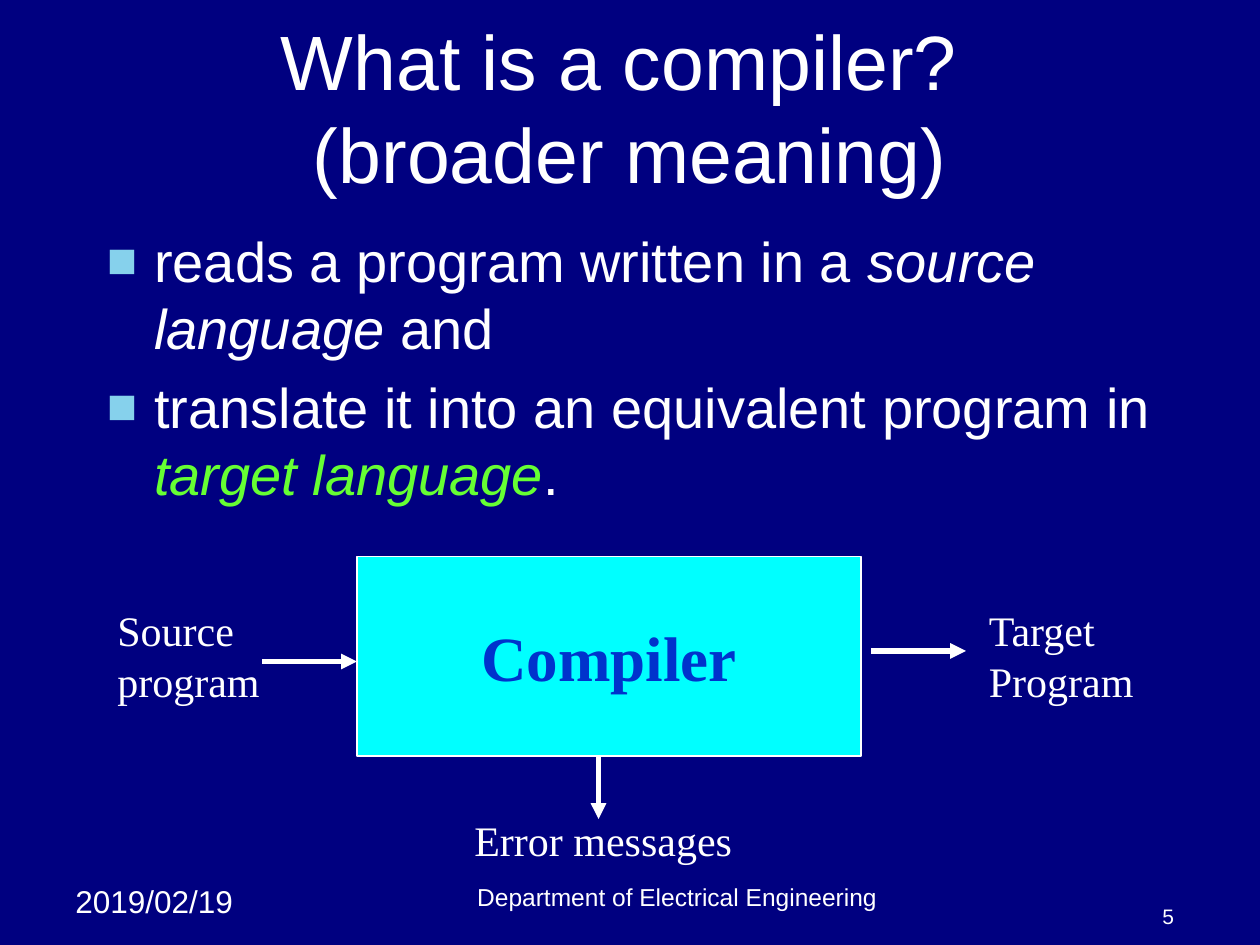
from dataclasses import dataclass

from lxml import etree
from pptx import Presentation
from pptx.dml.color import RGBColor
from pptx.enum.shapes import MSO_CONNECTOR, MSO_SHAPE
from pptx.enum.text import MSO_ANCHOR, MSO_AUTO_SIZE, PP_ALIGN
from pptx.oxml.ns import qn
from pptx.util import Pt

LEFT, CENTER, RIGHT = PP_ALIGN.LEFT, PP_ALIGN.CENTER, PP_ALIGN.RIGHT
TOP, MIDDLE, BOTTOM = MSO_ANCHOR.TOP, MSO_ANCHOR.MIDDLE, MSO_ANCHOR.BOTTOM
STRAIGHT = MSO_CONNECTOR.STRAIGHT
RECTANGLE = MSO_SHAPE.RECTANGLE
NO_AUTOFIT = MSO_AUTO_SIZE.NONE

SANS, SERIF = "Arial", "Times New Roman"
COLORS = {
    "background": "000080",
    "text": "FFFFFF",
    "bullet": "86D1EC",
    "target": "66FF33",
    "box": "00FFFF",
    "compiler": "0033CC",
}


@dataclass
class Label:
    text: str
    left: float
    top: float
    width: float
    height: float
    size: float
    font: str = SERIF
    align: PP_ALIGN = LEFT
    anchor: MSO_ANCHOR = TOP


@dataclass
class Arrow:
    start: tuple[float, float]
    end: tuple[float, float]


@dataclass
class Bullet:
    before: str
    term: str
    after: str
    term_color: str = "text"


LABELS = [
    Label("2019/02/19", 36, 500.4, 114, 28.8, 18, SANS),
    Label("Department of Electrical Engineering", 144, 500.4, 486, 24, 14, SANS, CENTER, BOTTOM),
    Label("5", 630, 510, 48, 24, 12, SANS, RIGHT, BOTTOM),
    Label("Source\nprogram", 60, 342, 102, 65, 24),
    Label("Target\nProgram", 558, 342, 114, 65, 24),
    Label("Error messages", 264, 462, 174, 36, 24),
]
ARROWS = [
    Arrow((150, 378), (204, 378)),
    Arrow((498, 372), (552, 372)),
    Arrow((342, 432), (342, 468)),
]
BULLETS = [
    Bullet("reads a program written in a ", "source language", " and"),
    Bullet("translate it into an equivalent program in ", "target language", ".", "target"),
]


def color(name: str) -> RGBColor:
    return RGBColor.from_string(COLORS[name])


def format_font(font, name: str, size: float, color_name: str = "text") -> None:
    font.name = name
    font.size = Pt(size)
    font.color.rgb = color(color_name)


def format_text(text_frame, name: str, size: float, align: PP_ALIGN,
                color_name: str = "text") -> None:
    for paragraph in text_frame.paragraphs:
        paragraph.alignment = align
        for run in paragraph.runs:
            format_font(run.font, name, size, color_name)


def add_label(slide, label: Label) -> None:
    shape = slide.shapes.add_textbox(
        Pt(label.left), Pt(label.top), Pt(label.width), Pt(label.height))
    text_frame = shape.text_frame
    text_frame.word_wrap = True
    text_frame.vertical_anchor = label.anchor
    text_frame.text = label.text
    format_text(text_frame, label.font, label.size, label.align)


def add_arrow(slide, arrow: Arrow) -> None:
    connector = slide.shapes.add_connector(
        STRAIGHT, *(Pt(value) for value in arrow.start + arrow.end))
    connector.line.color.rgb = color("text")
    connector.line.width = Pt(3)
    properties = connector._element.spPr
    line = properties.find(qn("a:ln"))
    etree.SubElement(line, qn("a:tailEnd"), type="triangle")
    etree.SubElement(properties, qn("a:effectLst"))


def add_bullet_marker(paragraph) -> None:
    indent = Pt(27)
    properties = paragraph._p.get_or_add_pPr()
    properties.set("marL", str(indent))
    properties.set("indent", str(-indent))
    marker_color = etree.SubElement(properties, qn("a:buClr"))
    etree.SubElement(marker_color, qn("a:srgbClr"), val=COLORS["bullet"])
    etree.SubElement(properties, qn("a:buSzPct"), val="90000")
    etree.SubElement(properties, qn("a:buFont"), typeface=SANS)
    etree.SubElement(properties, qn("a:buChar"), char="■")


def add_bullets(slide, bullets: list[Bullet]) -> None:
    shape = slide.shapes.add_textbox(Pt(54), Pt(126), Pt(612), Pt(390))
    text_frame = shape.text_frame
    text_frame.word_wrap = True
    for index, bullet in enumerate(bullets):
        paragraph = text_frame.add_paragraph() if index else text_frame.paragraphs[0]
        add_bullet_marker(paragraph)
        if index:
            paragraph.space_before = Pt(6.4)
        for text in (bullet.before, bullet.term, bullet.after):
            run = paragraph.add_run()
            run.text = text
            is_term = text == bullet.term
            format_font(run.font, SANS, 32, bullet.term_color if is_term else "text")
            run.font.italic = is_term


def add_compiler_box(slide) -> None:
    shape = slide.shapes.add_shape(RECTANGLE, Pt(204), Pt(318), Pt(288), Pt(114))
    shape.shadow.inherit = False
    shape.fill.solid()
    shape.fill.fore_color.rgb = color("box")
    shape.line.color.rgb = color("text")
    shape.line.width = Pt(1)
    text_frame = shape.text_frame
    text_frame.word_wrap = False
    text_frame.vertical_anchor = MIDDLE
    text_frame.text = "Compiler"
    format_text(text_frame, SERIF, 36, CENTER, "compiler")
    text_frame.paragraphs[0].runs[0].font.bold = True


def set_title(slide) -> None:
    title = slide.shapes.title
    title.left, title.top, title.width, title.height = Pt(36), Pt(21.6), Pt(648), Pt(78)
    text_frame = title.text_frame
    text_frame.auto_size = NO_AUTOFIT
    text_frame.vertical_anchor = MIDDLE
    text_frame.text = "What is a compiler? \v(broader meaning)"
    format_text(text_frame, SANS, 44, CENTER)


def main() -> None:
    presentation = Presentation()
    presentation.slide_width, presentation.slide_height = Pt(720), Pt(540)
    slide = presentation.slides.add_slide(presentation.slide_layouts[5])
    slide.background.fill.solid()
    slide.background.fill.fore_color.rgb = color("background")

    # Title and definition
    set_title(slide)
    add_bullets(slide, BULLETS)

    # Compiler diagram and footer
    add_compiler_box(slide)
    for label in LABELS:
        add_label(slide, label)
    for arrow in ARROWS:
        add_arrow(slide, arrow)

    presentation.save("out.pptx")


if __name__ == "__main__":
    main()
